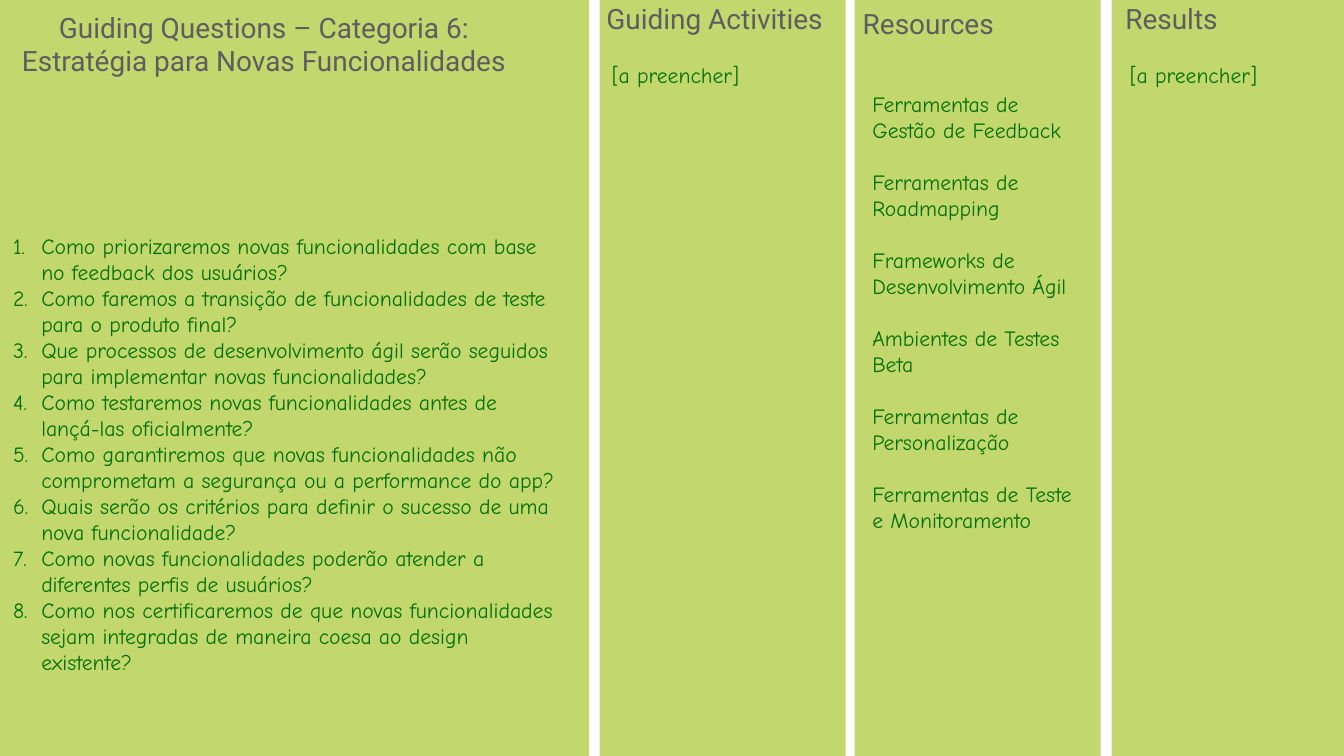
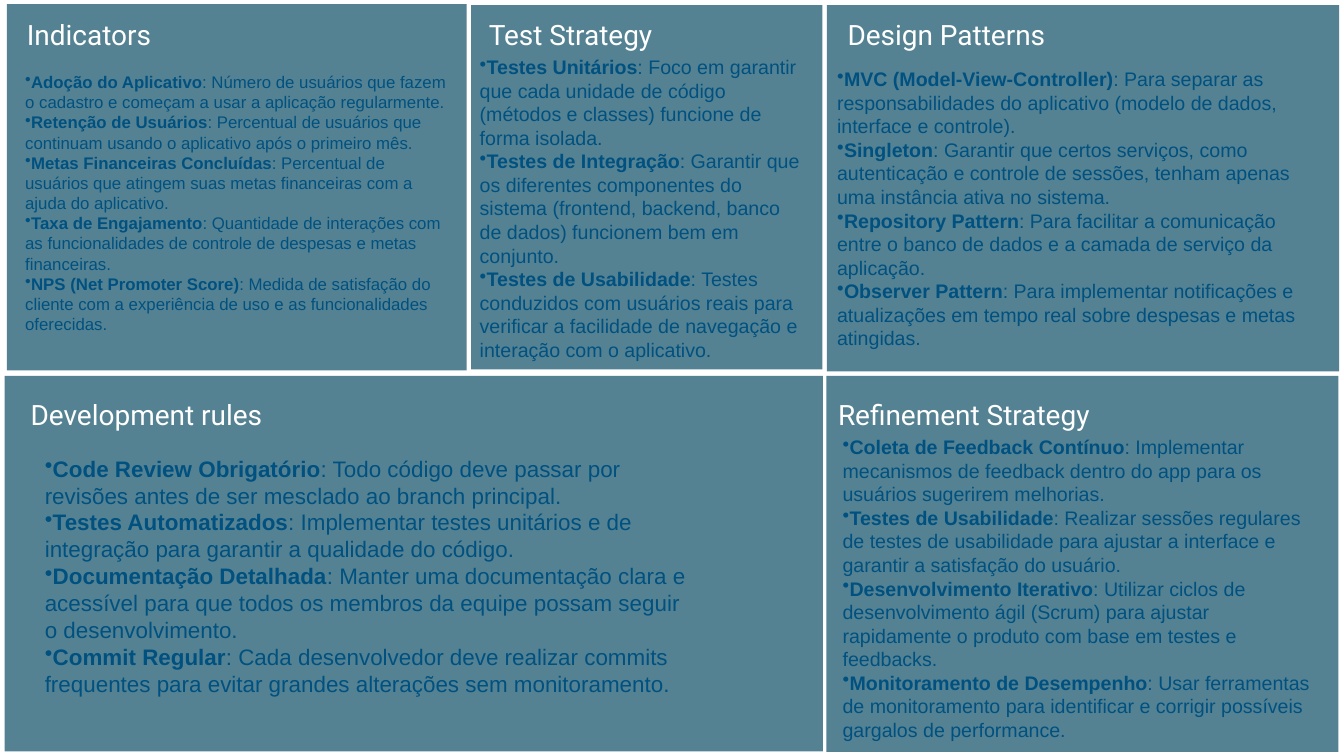
"""Build the guiding-questions board and the project-strategy board."""
import pptx
import pptx.util
import pptx.dml.color
import pptx.enum.shapes
import pptx.enum.text
import lxml.etree

COLOURS = {"lime": "C2D76D", "grey": "5E5E5E", "green": "027001",
           "teal": "548293", "white": "FFFFFF", "navy": "005180"}
ALIGN = pptx.enum.text.PP_ALIGN
MARGIN = pptx.util.Inches(0.03)
NUMBER_INDENT = pptx.util.Inches(0.56)

deck = pptx.Presentation()
deck.slide_width = pptx.util.Inches(26.67)
deck.slide_height = pptx.util.Inches(15)


def place(area):
    """Turn percentages of the slide into left, top, width and height."""
    sides = (deck.slide_width, deck.slide_height) * 2
    return [round(share * side / 100) for share, side in zip(area, sides)]


def write(holder, lines, font, align=ALIGN.LEFT, wrap=True, marker=None, gap=0):
    """Fill a text holder with formatted lines, each "lead: rest" when bulleted."""
    frame = holder.text_frame
    settings = {"word_wrap": wrap, "auto_size": pptx.enum.text.MSO_AUTO_SIZE.SHAPE_TO_FIT_TEXT,
                "vertical_anchor": pptx.enum.text.MSO_ANCHOR.MIDDLE,
                "margin_left": MARGIN, "margin_right": MARGIN,
                "margin_top": MARGIN, "margin_bottom": MARGIN}
    for name, value in settings.items():
        setattr(frame, name, value)
    for index, line in enumerate(lines):
        paragraph = frame.add_paragraph() if index else frame.paragraphs[0]
        paragraph.alignment = align
        if index and gap:
            paragraph.space_before = pptx.util.Pt(gap)
        if marker:
            properties = paragraph._p.get_or_add_pPr()
            indent = NUMBER_INDENT if marker == "number" else 0
            properties.set("marL", str(indent))
            properties.set("indent", str(-indent))
            tag, key, value = (("buAutoNum", "type", "arabicPeriod") if marker == "number"
                               else ("buChar", "char", marker))
            namespace = "{http://schemas.openxmlformats.org/drawingml/2006/main}"
            lxml.etree.SubElement(properties, namespace + tag).set(key, value)
        lead, colon, rest = line.partition(": ")
        for text, bold in ((lead, bool(colon)), (colon + rest, False)):
            if text:
                run = paragraph.add_run()
                run.text = text
                for name, value in {**font, "bold": bold}.items():
                    if name == "colour":
                        run.font.color.rgb = pptx.dml.color.RGBColor.from_string(COLOURS[value])
                    else:
                        setattr(run.font, name, value)


boards = [
    {"fill": "lime", "heading": "grey", "text": "green", "face": "Comic Neue", "panels": [
        {"area": (0, 0, 43.83, 100), "heading_area": (0.86, 1.13, 37.53, 9.33),
         "heading": ["Guiding Questions – Categoria 6:", "Estratégia para Novas Funcionalidades"],
         "body_area": (0.86, 28.53, 40.46, 63), "size": 31, "marker": "number", "body": [
             "Como priorizaremos novas funcionalidades com base no feedback dos usuários?",
             "Como faremos a transição de funcionalidades de teste para o produto final?",
             "Que processos de desenvolvimento ágil serão seguidos para implementar novas funcionalidades?",
             "Como testaremos novas funcionalidades antes de lançá-las oficialmente?",
             "Como garantiremos que novas funcionalidades não comprometam a segurança ou a performance do app?",
             "Quais serão os critérios para definir o sucesso de uma nova funcionalidade?",
             "Como novas funcionalidades poderão atender a diferentes perfis de usuários?",
             "Como nos certificaremos de que novas funcionalidades sejam integradas de maneira coesa "
             "ao design existente?"]},
        {"area": (44.62, 0, 18.3, 100), "heading_area": (44.99, 0, 16.35, 4.87),
         "heading": ["Guiding Activities"],
         "body_area": (45.41, 8, 16.05, 3.87), "size": 31, "body": ["[a preencher]"]},
        {"area": (63.59, 0, 18.3, 100), "heading_area": (63.93, 0.6, 10.27, 4.87),
         "heading": ["Resources"],
         "body_area": (64.79, 8, 16.05, 66.47), "size": 31, "gap": 37.2, "body": [
             "Ferramentas de Gestão de Feedback",
             "Ferramentas de Roadmapping",
             "Frameworks de Desenvolvimento Ágil",
             "Ambientes de Testes Beta",
             "Ferramentas de Personalização",
             "Ferramentas de Teste e Monitoramento"]},
        {"area": (82.72, 0, 17.28, 100), "heading_area": (83.54, 0, 7.24, 4.87),
         "heading": ["Results"],
         "body_area": (83.95, 8, 16.05, 3.87), "size": 31, "body": ["[a preencher]"]},
    ]},
    {"fill": "teal", "heading": "white", "text": "navy", "face": "Arial", "panels": [
        {"area": (0.52, 0.53, 34.2, 48.47), "heading_area": (1.69, 2.13, 9.86, 4.8),
         "heading": ["Indicators"],
         "body_area": (1.76, 9.13, 31.83, 35.4), "size": 24, "marker": "•", "body": [
             "Adoção do Aplicativo: Número de usuários que fazem o cadastro e começam a usar a "
             "aplicação regularmente.",
             "Retenção de Usuários: Percentual de usuários que continuam usando o aplicativo após "
             "o primeiro mês.",
             "Metas Financeiras Concluídas: Percentual de usuários que atingem suas metas "
             "financeiras com a ajuda do aplicativo.",
             "Taxa de Engajamento: Quantidade de interações com as funcionalidades de controle de "
             "despesas e metas financeiras.",
             "NPS (Net Promoter Score): Medida de satisfação do cliente com a experiência de uso e "
             "as funcionalidades oferecidas."]},
        {"area": (61.49, 49.73, 38.1, 49.73), "heading_area": (62.24, 52.4, 22.46, 4.8),
         "heading": ["Refinement Strategy"], "heading_align": ALIGN.LEFT,
         "body_area": (62.58, 57.2, 35.77, 41.2), "size": 28, "marker": "•", "body": [
             "Coleta de Feedback Contínuo: Implementar mecanismos de feedback dentro do app para "
             "os usuários sugerirem melhorias.",
             "Testes de Usabilidade: Realizar sessões regulares de testes de usabilidade para "
             "ajustar a interface e garantir a satisfação do usuário.",
             "Desenvolvimento Iterativo: Utilizar ciclos de desenvolvimento ágil (Scrum) para "
             "ajustar rapidamente o produto com base em testes e feedbacks.",
             "Monitoramento de Desempenho: Usar ferramentas de monitoramento para identificar e "
             "corrigir possíveis gargalos de performance."]},
        {"area": (61.53, 0.67, 38.1, 48.47), "heading_area": (62.58, 2.13, 15.67, 4.8),
         "heading": ["Design Patterns"],
         "body_area": (62.17, 8.53, 36.15, 38.07), "size": 28, "marker": "•", "body": [
             "MVC (Model-View-Controller): Para separar as responsabilidades do aplicativo "
             "(modelo de dados, interface e controle).",
             "Singleton: Garantir que certos serviços, como autenticação e controle de sessões, "
             "tenham apenas uma instância ativa no sistema.",
             "Repository Pattern: Para facilitar a comunicação entre o banco de dados e a camada "
             "de serviço da aplicação.",
             "Observer Pattern: Para implementar notificações e atualizações em tempo real sobre "
             "despesas e metas atingidas."]},
        {"area": (0.34, 49.73, 60.89, 49.67), "heading_area": (-1.5, 52.4, 24.78, 4.8),
         "heading": ["Development rules"],
         "body_area": (3.22, 59.8, 48.48, 32.73), "size": 32, "marker": "•", "body": [
             "Code Review Obrigatório: Todo código deve passar por revisões antes de ser mesclado "
             "ao branch principal.",
             "Testes Automatizados: Implementar testes unitários e de integração para garantir a "
             "qualidade do código.",
             "Documentação Detalhada: Manter uma documentação clara e acessível para que todos os "
             "membros da equipe possam seguir o desenvolvimento.",
             "Commit Regular: Cada desenvolvedor deve realizar commits frequentes para evitar "
             "grandes alterações sem monitoramento."]},
        {"area": (35.06, 0.67, 26.13, 48.2), "heading_area": (36, 2.13, 12.9, 4.8),
         "heading": ["Test Strategy"],
         "body_area": (35.58, 6.93, 24.22, 41.2), "size": 28, "marker": "•", "body": [
             "Testes Unitários: Foco em garantir que cada unidade de código (métodos e classes) "
             "funcione de forma isolada.",
             "Testes de Integração: Garantir que os diferentes componentes do sistema (frontend, "
             "backend, banco de dados) funcionem bem em conjunto.",
             "Testes de Usabilidade: Testes conduzidos com usuários reais para verificar a "
             "facilidade de navegação e interação com o aplicativo."]},
    ]},
]

for board in boards:
    slide = deck.slides.add_slide(deck.slide_layouts[5])
    for order, panel in enumerate(board["panels"]):
        band = slide.shapes.add_shape(pptx.enum.shapes.MSO_SHAPE.RECTANGLE, *place(panel["area"]))
        band.shadow.inherit = False
        band.fill.solid()
        band.fill.fore_color.rgb = pptx.dml.color.RGBColor.from_string(COLOURS[board["fill"]])
        band.line.fill.background()

        if order == 0:
            heading = slide.shapes.title
            band.element.addnext(heading.element)
            for side, length in zip(("left", "top", "width", "height"), place(panel["heading_area"])):
                setattr(heading, side, length)
        else:
            heading = slide.shapes.add_textbox(*place(panel["heading_area"]))
        heading_align = panel.get("heading_align", ALIGN.CENTER)
        heading_font = {"name": "Roboto", "size": pptx.util.Pt(40), "colour": board["heading"]}
        write(heading, panel["heading"], heading_font, heading_align, heading_align == ALIGN.LEFT)

        body = slide.shapes.add_textbox(*place(panel["body_area"]))
        body_font = {"name": board["face"], "size": pptx.util.Pt(panel["size"]), "colour": board["text"]}
        write(body, panel["body"], body_font, marker=panel.get("marker"), gap=panel.get("gap", 0))

deck.save("out.pptx")
